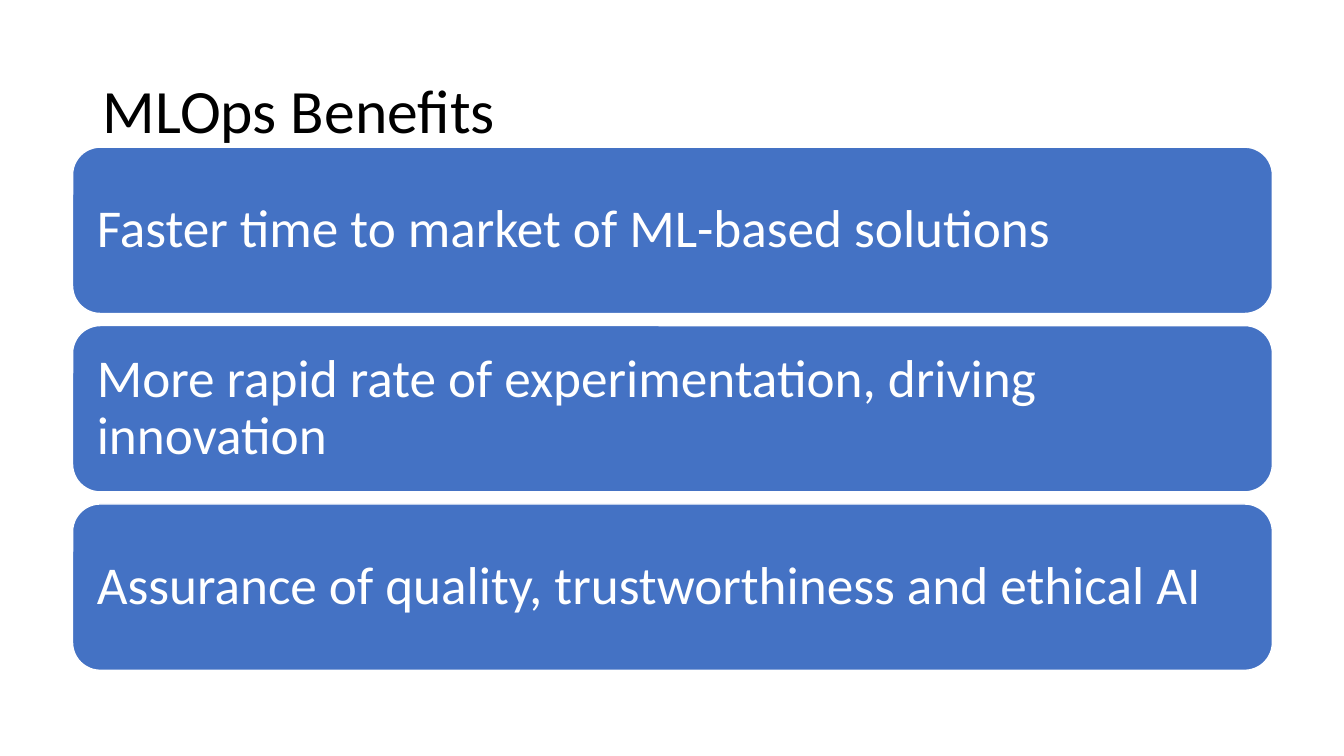
from pptx import Presentation
from pptx.dml.color import RGBColor
from pptx.enum.shapes import MSO_SHAPE
from pptx.enum.text import MSO_ANCHOR, MSO_AUTO_SIZE, PP_ALIGN
from pptx.util import Inches, Pt

ROUNDED = MSO_SHAPE.ROUNDED_RECTANGLE
MIDDLE = MSO_ANCHOR.MIDDLE
NO_FIT = MSO_AUTO_SIZE.NONE
LEFT = PP_ALIGN.LEFT
BLACK = RGBColor(0x00, 0x00, 0x00)
WHITE = RGBColor(0xFF, 0xFF, 0xFF)
BLUE = RGBColor(0x44, 0x72, 0xC4)
FONT = "Calibri"
TITLE_ONLY = 5

TITLE_BOX = (0.92, 0.4, 11.5, 1.45)
BENEFITS_BOX = (0.72, 1.46, 11.9, 5.19)
BENEFIT_GAP = 0.12
BENEFITS = (
    "Faster time to market of ML-based solutions",
    "More rapid rate of experimentation, driving innovation",
    "Assurance of quality, trustworthiness and ethical AI",
)


def write_text(shape, text, *, size, color, inset_x=0.1, inset_y=0.05):
    """Fill a shape with one left-aligned, vertically centred paragraph."""
    frame = shape.text_frame
    frame.word_wrap = True
    frame.auto_size = NO_FIT
    frame.vertical_anchor = MIDDLE
    frame.margin_left = frame.margin_right = Inches(inset_x)
    frame.margin_top = frame.margin_bottom = Inches(inset_y)
    para = frame.paragraphs[0]
    para.alignment = LEFT
    para.line_spacing = 0.9
    span = para.add_run()
    span.text = text
    span.font.name = FONT
    span.font.size = Pt(size)
    span.font.color.rgb = color


def place_title(page, box, text):
    """Move the title placeholder into the box and write the heading."""
    title = page.shapes.title
    title.left, title.top, title.width, title.height = map(Inches, box)
    write_text(title, text, size=44, color=BLACK)


def place_benefits(page, box, benefits):
    """Stack equal rounded bars, one per benefit, down the box."""
    left, top, width, height = box
    bar_height = (height - BENEFIT_GAP * (len(benefits) - 1)) / len(benefits)
    for row, benefit in enumerate(benefits):
        bar_top = top + row * (bar_height + BENEFIT_GAP)
        bar = page.shapes.add_shape(
            ROUNDED, *map(Inches, (left, bar_top, width, bar_height))
        )
        bar.shadow.inherit = False
        bar.fill.solid()
        bar.fill.fore_color.rgb = BLUE
        bar.line.color.rgb = WHITE
        bar.line.width = Pt(1)
        write_text(bar, benefit, size=38, color=WHITE, inset_x=0.16, inset_y=0.16)


def build_deck():
    """Build and save the one-slide deck."""
    deck = Presentation()
    deck.slide_width, deck.slide_height = Inches(13.33), Inches(7.5)
    page = deck.slides.add_slide(deck.slide_layouts[TITLE_ONLY])
    place_title(page, TITLE_BOX, "MLOps Benefits")
    place_benefits(page, BENEFITS_BOX, BENEFITS)
    deck.save("out.pptx")


build_deck()
